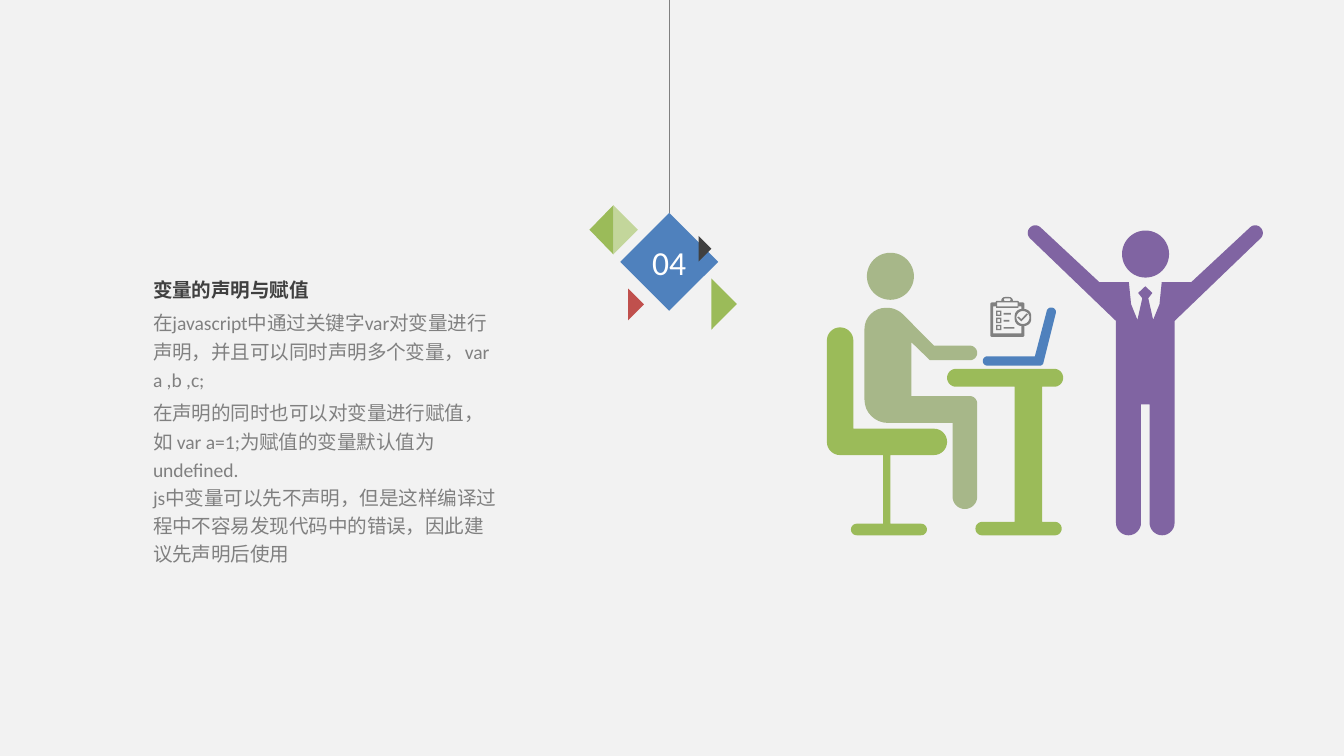
"""Build the slide on declaring and assigning variables."""
import math

import pptx
import pptx.dml.color
import pptx.enum.shapes
import pptx.enum.text
import pptx.oxml.ns
import pptx.util
from lxml import etree

Pt = pptx.util.Pt
SHAPES = pptx.enum.shapes.MSO_SHAPE
FONT = "Calibri"
COLORS = {
    "background": "F2F2F2", "gray": "808080", "dark": "404040", "white": "FFFFFF",
    "green": "9BBB59", "light_green": "C3D69B", "sage": "A7B789",
    "blue": "4F81BD", "purple": "8064A2", "red": "C0504D",
}

TEXT = [
    (["变量的声明与赋值"], "dark", True),
    (["在javascript中通过关键字var对变量进行声明，并且可以同时声明多个变量，var a ,b ,c;"], "gray", False),
    (["在声明的同时也可以对变量进行赋值，如 var a=1;为赋值的变量默认值为undefined.",
      "js中变量可以先不声明，但是这样编译过程中不容易发现代码中的错误，因此建议先声明后使用"], "gray", False),
]
NUMBER = "04"

# Each corner is (x, y) or (x, y, rounding radius).
CHAIR = [(443, 175.4, 7.1), (457.2, 175.4, 7.1), (457.2, 229.7), (507.4, 229.7, 7),
         (507.4, 243.8, 7), (477, 243.8), (477, 280.6), (496.6, 280.6, 3.1),
         (496.6, 286.8, 3.1), (455.9, 286.8, 3.1), (455.9, 280.6, 3.1),
         (473.2, 280.6), (473.2, 243.8), (443, 243.8, 7)]
SITTER = [(463.1, 164.9, 11.5), (480.2, 164.9, 12), (500.4, 185.2), (523.5, 185.2, 3.9),
          (523.5, 193, 3.9), (498.2, 193), (488.2, 183.3), (488.2, 212.2),
          (523.5, 212.2, 4), (523.5, 272.7, 6.6), (510.3, 272.7, 6.6),
          (510.3, 226.6), (463.1, 226.6, 12.6)]
DESK = [(507.4, 197.6, 4.8), (569.6, 197.6, 4.8), (569.6, 207.2, 4.8), (558.4, 207.2),
        (558.4, 279.6), (568.8, 279.6, 3.6), (568.8, 286.8, 3.6), (522.6, 286.8, 3.6),
        (522.6, 279.6, 3.6), (543.6, 279.6), (543.6, 207.2), (507.4, 207.2, 4.8)]
LAPTOP = [(526.5, 190.9, 2.5), (554.4, 190.9), (561.4, 164.2, 2.4), (566.2, 165.5, 2.4),
          (558.6, 195.9, 2), (526.5, 195.9, 2.5)]
MAN_AXIS = 613.6
TIE_TOP = (MAN_AXIS, 153.4)
MAN_HALF = [(609.8, 157), (612, 159.8), (609.4, 171.4), (606, 163), (604.8, 151.2),
            (589, 151.2), (554.6, 119.2, 4), (548.9, 124.9, 4), (597.9, 172),
            (597.9, 286.8, 6.7), (611.3, 286.8, 6.7), (611.3, 216.7)]
BOARD = [(530.5, 162, 1), (533.4, 162), (533.4, 161.2, 0.7), (536.4, 161.2),
         (536.4, 159.1, 2), (542.6, 159.1, 2), (542.6, 161.2), (545.8, 161.2, 0.7),
         (545.8, 162), (548.8, 162, 1), (548.8, 165.6), (552.4, 165.6, 3.6),
         (552.4, 174.6, 3.6), (548.8, 174.6), (548.8, 180.5, 1), (530.5, 180.5, 1)]
PAPER = [(532.1, 164.2), (533.6, 164.2), (533.6, 165), (545.6, 165), (545.6, 164.2),
         (547.2, 164.2), (547.2, 165.6), (543.6, 165.6, 3.6), (543.6, 174.6, 3.6),
         (547.2, 174.6), (547.2, 178.6), (532.1, 178.6)]
TICK = [(544.9, 170), (545.7, 169.6), (547.1, 171), (550, 167.9), (550.7, 168.5), (547.1, 172.2)]
LIST_LINES = [4, 3.2, 5.8]

HEADS = [(464.4, 135.4, "sage"), (601.1, 123.5, "purple")]
HEAD_SIZE = 25.2
TRIANGLES = [(336.5, 154.6, 8.5, 17, "red"), (374.2, 126.4, 6.9, 13.8, "dark"),
             (328.6, 109.9, 13.2, 26.4, "light_green"), (381.1, 149.2, 13.7, 27.4, "green"),
             (328.6, 109.9, -12.8, 26.4, "green")]


def color(name):
    return pptx.dml.color.RGBColor.from_string(COLORS[name])


def rounded(corners, steps=8):
    points = []
    for index, (x, y, *rest) in enumerate(corners):
        if not rest:
            points.append((x, y))
            continue
        neighbors = corners[index - 1], corners[(index + 1) % len(corners)]
        (ax, ay), (bx, by) = [((n[0] - x) / math.dist(n[:2], (x, y)),
                               (n[1] - y) / math.dist(n[:2], (x, y))) for n in neighbors]
        turn = math.pi - math.acos(ax * bx + ay * by)
        reach = rest[0] * math.tan(turn / 2)
        control = reach - rest[0] * 4 / 3 * math.tan(turn / 4)
        for step in range(steps + 1):
            t = step / steps
            a = (1 - t) ** 3 * reach + 3 * t * (1 - t) ** 2 * control
            b = t ** 3 * reach + 3 * t ** 2 * (1 - t) * control
            points.append((x + ax * a + bx * b, y + ay * a + by * b))
    return points


def box(left, top, width, height, radius=0):
    corners = [(left, top), (left + width, top), (left + width, top + height), (left, top + height)]
    return [(*corner, radius) for corner in corners] if radius else corners


def paint(shape, fill):
    shape.shadow.inherit = False
    shape.fill.solid()
    shape.fill.fore_color.rgb = color(fill)
    shape.line.fill.background()


def add_outline(shapes, contours, fill):
    builder = None
    for contour in contours:
        points = [(Pt(x), Pt(y)) for x, y in rounded(contour)]
        if builder is None:
            builder = shapes.build_freeform(*points[0], scale=1.0)
        else:
            builder.move_to(*points[0])
        builder.add_line_segments(points[1:], close=True)
    paint(builder.convert_to_shape(), fill)


def add_preset(shapes, kind, left, top, size, fill):
    shape = shapes.add_shape(kind, Pt(left), Pt(top), Pt(size), Pt(size))
    paint(shape, fill)
    return shape


def add_run(paragraph, text, size, fill, bold=False):
    run = paragraph.add_run()
    run.text = text
    run.font.name, run.font.size, run.font.bold = FONT, Pt(size), bold
    run.font.color.rgb = color(fill)


def clear_margins(frame):
    frame.margin_left = frame.margin_right = frame.margin_top = frame.margin_bottom = 0


def add_text(slide):
    frame = slide.shapes.add_textbox(Pt(82), Pt(146.2), Pt(187.2), Pt(158.4)).text_frame
    frame.word_wrap = True
    frame.auto_size = pptx.enum.text.MSO_AUTO_SIZE.SHAPE_TO_FIT_TEXT
    clear_margins(frame)
    for index, (lines, fill, bold) in enumerate(TEXT):
        paragraph = frame.add_paragraph() if index else frame.paragraphs[0]
        paragraph.line_spacing, paragraph.space_before = 1.2, Pt(3)
        for number, line in enumerate(lines):
            if number:
                paragraph.add_line_break()
            add_run(paragraph, line, 10.5, fill, bold)


def clipboard():
    contours = [BOARD, PAPER, box(534.2, 162, 11, 2.2), box(537.8, 159.8, 3.6, 1.5, 0.7),
                box(544.5, 166.6, 7, 7, 3.5), TICK]
    for row, width in enumerate(LIST_LINES):
        top = 166.4 + 3.8 * row
        contours += [box(533.6, top, 2.9, 2.9), box(534.3, top + 0.7, 1.5, 1.5),
                     box(537.6, top + 1.2, width, 0.9)]
    return contours


def add_illustration(slide):
    shapes = slide.shapes.add_group_shape().shapes
    mirrored = [(2 * MAN_AXIS - x, *rest) for x, *rest in reversed(MAN_HALF)]
    for contours, fill in [([CHAIR], "green"), ([SITTER], "sage"), ([DESK], "green"),
                           ([LAPTOP], "blue"), ([[TIE_TOP, *MAN_HALF, *mirrored]], "purple"),
                           (clipboard(), "gray")]:
        add_outline(shapes, contours, fill)
    for left, top, fill in HEADS:
        add_preset(shapes, SHAPES.OVAL, left, top, HEAD_SIZE, fill)


def add_badge(slide):
    diamond = add_preset(slide.shapes, SHAPES.DIAMOND, 332.3, 114, 52.5, "blue")
    frame = diamond.text_frame
    clear_margins(frame)
    frame.vertical_anchor = pptx.enum.text.MSO_ANCHOR.MIDDLE
    frame.paragraphs[0].alignment = pptx.enum.text.PP_ALIGN.CENTER
    add_run(frame.paragraphs[0], NUMBER, 18, "white")
    for x, y, width, height, fill in TRIANGLES:
        add_outline(slide.shapes, [[(x, y), (x + width, y + height / 2), (x, y + height)]], fill)


def main():
    presentation = pptx.Presentation()
    presentation.slide_width, presentation.slide_height = Pt(720), Pt(405)
    slide = presentation.slides.add_slide(presentation.slide_layouts[6])
    slide.background.fill.solid()
    slide.background.fill.fore_color.rgb = color("background")
    cord = slide.shapes.add_connector(pptx.enum.shapes.MSO_CONNECTOR.STRAIGHT,
                                      Pt(358.6), Pt(0), Pt(358.6), Pt(114))
    cord.line.color.rgb, cord.line.width = color("gray"), Pt(0.5)
    etree.SubElement(cord._element.spPr, pptx.oxml.ns.qn("a:effectLst"))
    add_text(slide)
    add_illustration(slide)
    add_badge(slide)
    presentation.save("out.pptx")


if __name__ == "__main__":
    main()
